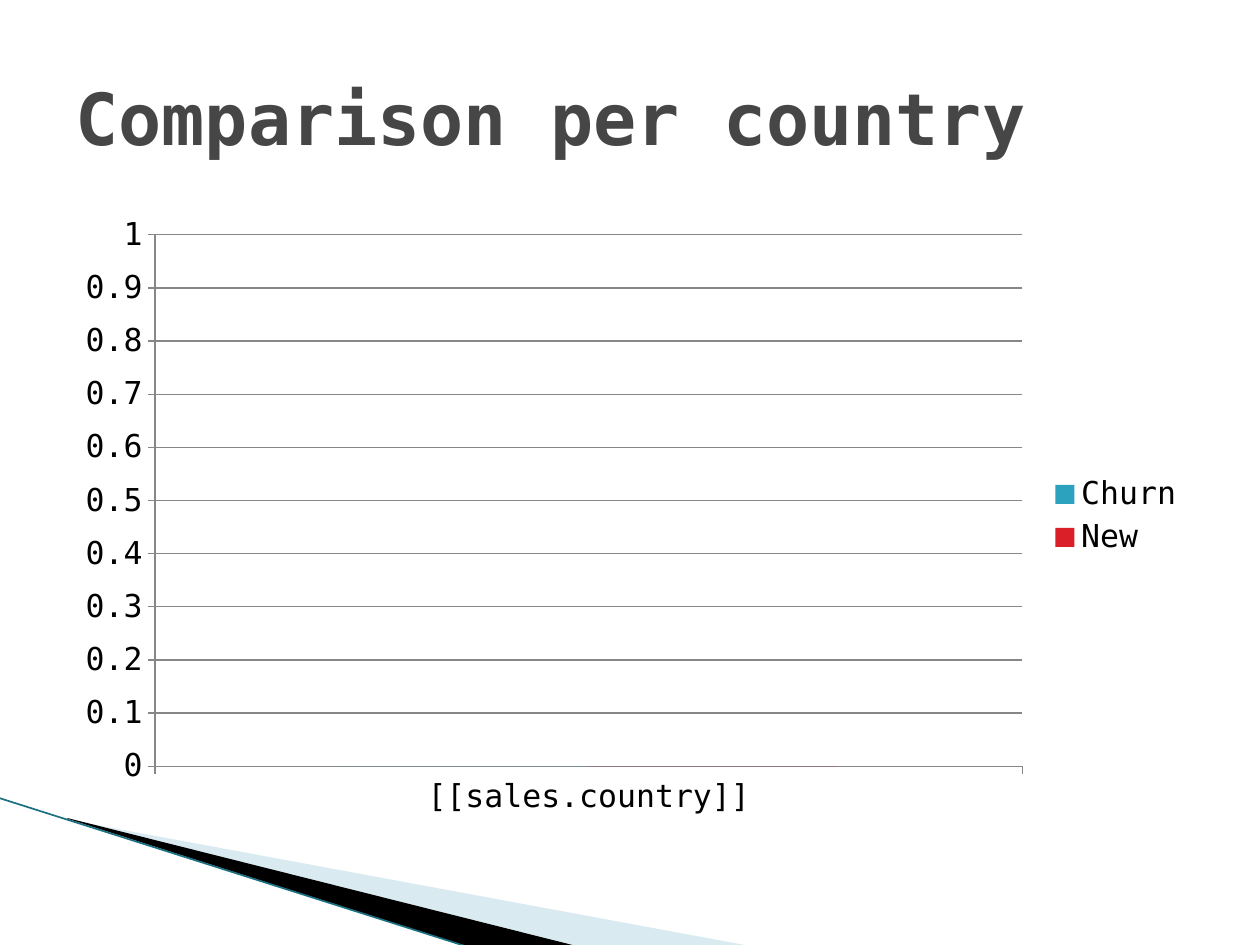
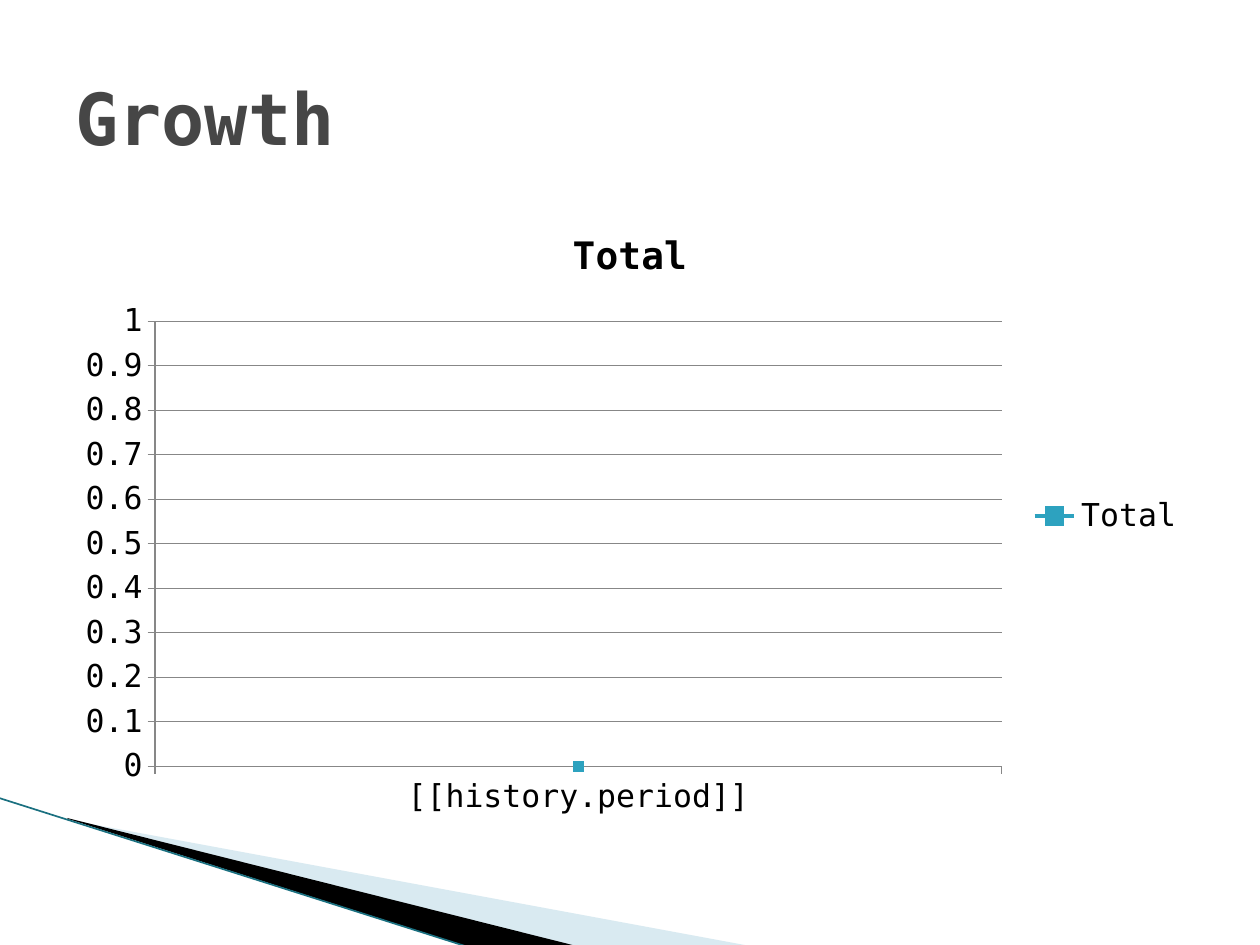
import pptx
import pptx.chart.data
import pptx.dml.color
import pptx.enum.chart
import pptx.enum.shapes
import pptx.enum.text
import pptx.oxml.ns
import pptx.util
import lxml.etree
import dataclasses


@dataclasses.dataclass(frozen=True)
class Theme:
    font: str = "DejaVu Sans Mono"
    title_size: float = 41
    chart_size: float = 18
    chart_title_size: float = 21.6
    title: str = "464646"
    text: str = "000000"
    grid: str = "878787"
    pale_band: str = "A0CBDC"
    dark_band: str = "000000"
    edge: str = "1A7080"
    series: tuple = ("2DA2BF", "DA1F28")


theme = Theme()
PIXEL = 7257  # EMU in one pixel at 126 pixels to the inch


def color(value):
    return pptx.dml.color.RGBColor.from_string(value)


def style_font(font, size, value, bold=False):
    font.name = theme.font
    font.size = pptx.util.Pt(size)
    font.color.rgb = color(value)
    font.bold = bold


presentation = pptx.Presentation()
presentation.slide_width = pptx.util.Inches(10)
presentation.slide_height = pptx.util.Inches(7.5)

# Corner bands: outline, colour, opacity in percent
bands = [
    ([(69, 820), (750, 946), (575, 946), (69, 819)], theme.pale_band, 40),
    ([(67, 818), (576, 946), (469, 947), (68, 819)], theme.dark_band, 100),
]

chart_types = pptx.enum.chart.XL_CHART_TYPE
pages = [
    ("Comparison per country", chart_types.COLUMN_CLUSTERED,
     "[[sales.country]]", ["Churn", "New"]),
    ("Growth", chart_types.LINE_MARKERS, "[[history.period]]", ["Total"]),
]

for heading, chart_type, category, series_names in pages:
    slide = presentation.slides.add_slide(presentation.slide_layouts[6])

    # Corner decoration
    for points, fill, opacity in bands:
        builder = slide.shapes.build_freeform(*points[0], scale=PIXEL)
        builder.add_line_segments(points[1:], close=True)
        band = builder.convert_to_shape()
        band.shadow.inherit = False
        band.fill.solid()
        band.fill.fore_color.rgb = color(fill)
        band.line.fill.background()
        if opacity < 100:
            rgb = band.fill._xPr.find(".//" + pptx.oxml.ns.qn("a:srgbClr"))
            alpha = lxml.etree.SubElement(rgb, pptx.oxml.ns.qn("a:alpha"))
            alpha.set("val", str(opacity * 1000))
    edge = slide.shapes.add_connector(
        pptx.enum.shapes.MSO_CONNECTOR.STRAIGHT,
        *[length * PIXEL for length in (-1, 798, 468, 947)])
    edge.line.color.rgb = color(theme.edge)
    edge.line.width = pptx.util.Pt(0.95)
    lxml.etree.SubElement(edge._element.spPr, pptx.oxml.ns.qn("a:effectLst"))

    # Chart
    chart_data = pptx.chart.data.CategoryChartData()
    chart_data.categories = [category]
    for name in series_names:
        chart_data.add_series(name, [0])
    chart = slide.shapes.add_chart(
        chart_type, *[length * PIXEL for length in (63, 204, 1134, 624)],
        chart_data).chart
    style_font(chart.font, theme.chart_size, theme.text)
    chart.has_legend = True
    chart.legend.position = pptx.enum.chart.XL_LEGEND_POSITION.RIGHT
    chart.legend.include_in_layout = False

    # Axes
    value_axis = chart.value_axis
    value_axis.minimum_scale = 0
    value_axis.maximum_scale = 1
    value_axis.major_unit = 0.1
    value_axis.has_major_gridlines = True
    value_axis.major_gridlines.format.line.color.rgb = color(theme.grid)
    for axis in (chart.category_axis, value_axis):
        axis.format.line.color.rgb = color(theme.grid)
        axis.major_tick_mark = pptx.enum.chart.XL_TICK_MARK.OUTSIDE

    # Series
    plot = chart.plots[0]
    plot.vary_by_categories = False
    is_line = chart_type == chart_types.LINE_MARKERS
    for series, value in zip(plot.series, theme.series):
        filled = series.marker.format if is_line else series.format
        filled.fill.solid()
        filled.fill.fore_color.rgb = color(value)
        if is_line:
            series.smooth = False
            series.format.line.color.rgb = color(value)
            series.format.line.width = pptx.util.Pt(2.25)
            series.marker.style = pptx.enum.chart.XL_MARKER_STYLE.SQUARE
            series.marker.size = 6
            series.marker.format.line.color.rgb = color(value)

    # Chart title on the line chart, bar spacing on the column chart
    chart.has_title = is_line
    if is_line:
        paragraph = chart.chart_title.text_frame.paragraphs[0]
        paragraph.text = series_names[0]
        style_font(paragraph.font, theme.chart_title_size, theme.text, True)
        chart.chart_title.include_in_layout = False
    else:
        plot.gap_width = 150
        plot.overlap = 0

    # Slide title
    title = slide.shapes.add_textbox(
        *[length * PIXEL for length in (63, 38, 1134, 157)])
    frame = title.text_frame
    frame.word_wrap = True
    frame.vertical_anchor = pptx.enum.text.MSO_ANCHOR.MIDDLE
    paragraph = frame.paragraphs[0]
    paragraph.text = heading
    style_font(paragraph.font, theme.title_size, theme.title, True)

presentation.save("out.pptx")
